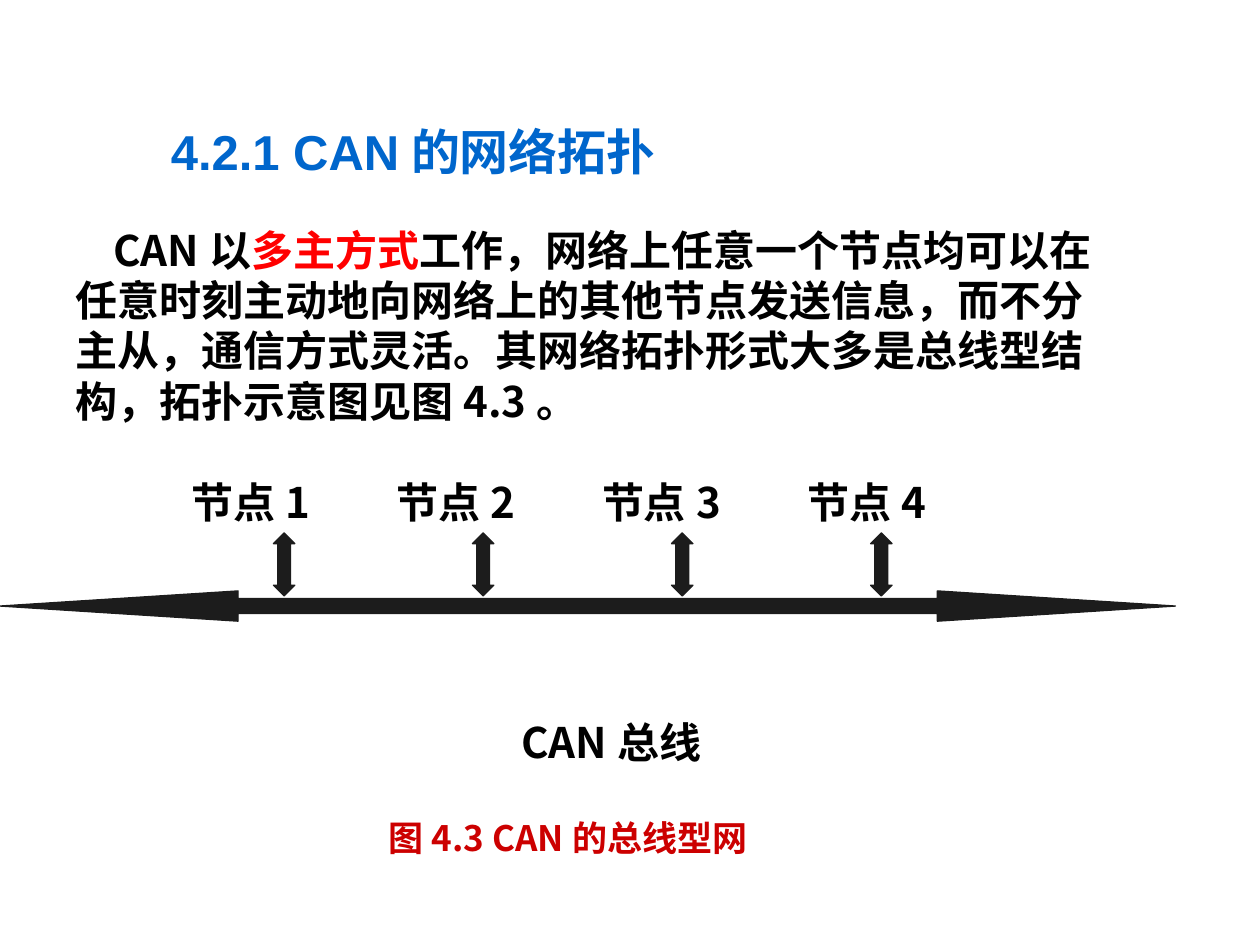
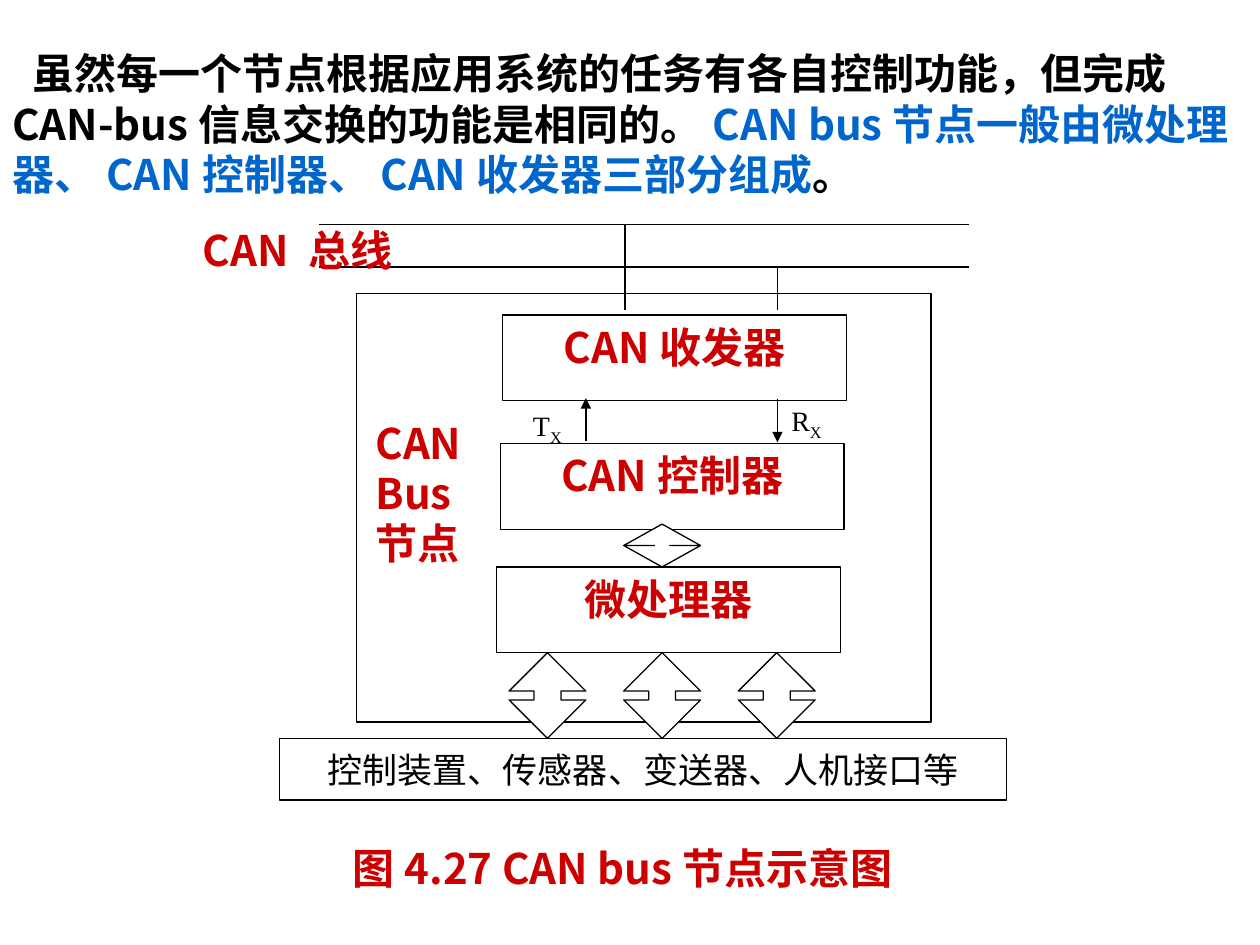
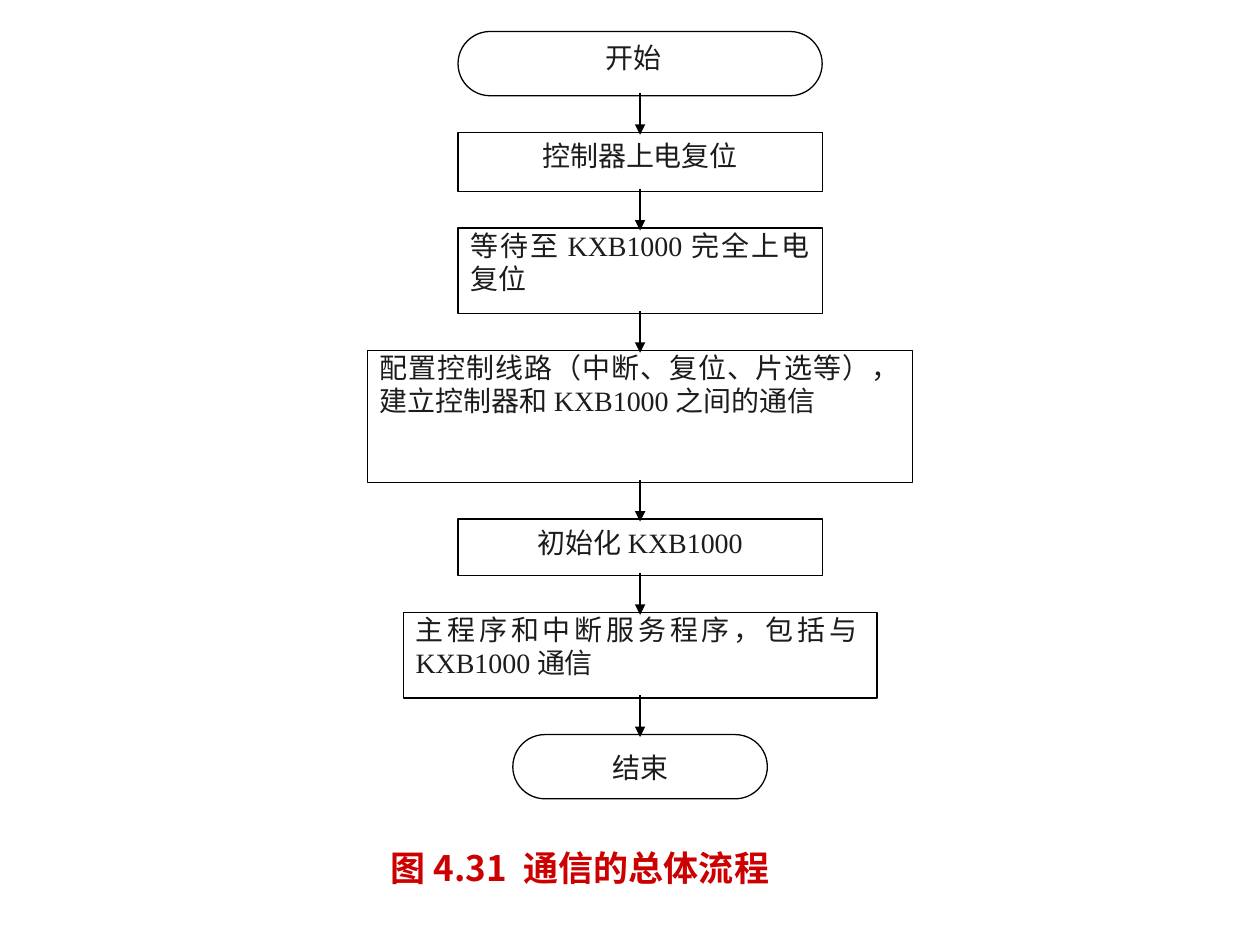
from dataclasses import dataclass
from itertools import pairwise

from lxml import etree
from pptx import Presentation
from pptx.dml.color import RGBColor
from pptx.enum.shapes import MSO_CONNECTOR, MSO_SHAPE
from pptx.enum.text import MSO_ANCHOR, PP_ALIGN
from pptx.oxml.ns import qn
from pptx.util import Inches, Pt

LEFT, CENTER, JUSTIFY = PP_ALIGN.LEFT, PP_ALIGN.CENTER, PP_ALIGN.JUSTIFY
TOP, MIDDLE = MSO_ANCHOR.TOP, MSO_ANCHOR.MIDDLE
RECTANGLE = MSO_SHAPE.RECTANGLE
PROCESS = MSO_SHAPE.FLOWCHART_PROCESS
TERMINAL = MSO_SHAPE.ROUNDED_RECTANGLE
VERTICAL_ARROW = MSO_SHAPE.UP_DOWN_ARROW
HORIZONTAL_ARROW = MSO_SHAPE.LEFT_RIGHT_ARROW
STRAIGHT = MSO_CONNECTOR.STRAIGHT
TITLE_ONLY, BLANK = 5, 6

PADDED = (0.1, 0.05, 0.1, 0.05)
SIDES_ONLY = (0.1, 0, 0.1, 0)
FLUSH = (0, 0, 0, 0)


@dataclass(frozen=True)
class Theme:
    black: RGBColor = RGBColor.from_string("000000")
    white: RGBColor = RGBColor.from_string("FFFFFF")
    charcoal: RGBColor = RGBColor.from_string("1C1C1C")
    blue: RGBColor = RGBColor.from_string("0066CC")
    red: RGBColor = RGBColor.from_string("FF0000")
    crimson: RGBColor = RGBColor.from_string("CC0000")
    heading_font: str = "Arial"
    body_font: str = "Noto Sans CJK SC"
    serif_font: str = "Times New Roman"
    title_size: int = 28
    body_size: int = 24
    caption_size: int = 20
    small_size: int = 16
    line_width: float = 0.75


THEME = Theme()


@dataclass(frozen=True)
class TextStyle:
    font: str = THEME.body_font
    size: int = THEME.body_size
    color: RGBColor = THEME.black
    bold: bool = True


BODY = TextStyle()
TITLE = TextStyle(THEME.heading_font, THEME.title_size, THEME.blue)
LABEL = TextStyle(color=THEME.crimson)
CAPTION = TextStyle(size=THEME.caption_size, color=THEME.crimson)
DEVICES = TextStyle(size=THEME.caption_size, bold=False)
SIGNAL = TextStyle(THEME.serif_font, THEME.small_size, bold=False)
STEP = TextStyle(THEME.serif_font, THEME.small_size, THEME.charcoal, False)


class SlideBuilder:
    def __init__(self, deck):
        self.deck = deck
        self.slide = None

    def new_slide(self, layout=BLANK):
        self.slide = self.deck.slides.add_slide(self.deck.slide_layouts[layout])

    def format_span(self, span, style, color=None):
        span.font.name = style.font
        span.font.size = Pt(style.size)
        span.font.bold = style.bold
        span.font.color.rgb = color or style.color
        east_asian = etree.SubElement(span._r.get_or_add_rPr(), qn("a:ea"))
        east_asian.set("typeface", THEME.body_font)

    def fill_text(self, frame, text, style, align=LEFT, insets=PADDED, anchor=TOP):
        frame.word_wrap = True
        frame.vertical_anchor = anchor
        (frame.margin_left, frame.margin_top,
         frame.margin_right, frame.margin_bottom) = map(Inches, insets)
        frame.text = text
        for para in frame.paragraphs:
            para.alignment = align
            for span in para.runs:
                self.format_span(span, style)

    def title(self, text, left, top, width, height):
        box = self.slide.shapes.title
        box.left, box.top = Inches(left), Inches(top)
        box.width, box.height = Inches(width), Inches(height)
        self.fill_text(box.text_frame, text, TITLE, CENTER, anchor=MIDDLE)

    def text(self, text, left, top, width, height, style=BODY, align=LEFT, insets=PADDED):
        box = self.slide.shapes.add_textbox(
            Inches(left), Inches(top), Inches(width), Inches(height))
        self.fill_text(box.text_frame, text, style, align, insets)
        return box.text_frame.paragraphs[0]

    def passage(self, parts, left, top, width, height, indent):
        """Add a paragraph of (text, colour) parts with an indented first line."""
        para = self.text("", left, top, width, height)
        para._p.get_or_add_pPr().set("indent", str(Inches(indent)))
        for words, color in parts:
            span = para.add_run()
            span.text = words
            self.format_span(span, BODY, color)

    def signal(self, letter, left, top):
        """Add a signal name with a subscript X."""
        para = self.text(letter, left, top, 0.61, 0.35, SIGNAL, insets=FLUSH)
        subscript = para.add_run()
        subscript.text = "X"
        self.format_span(subscript, SIGNAL)
        subscript.font._element.set("baseline", "-25000")

    def shape(self, kind, left, top, width, height, fill=THEME.white,
              line=THEME.black, adjustments=()):
        shape = self.slide.shapes.add_shape(
            kind, Inches(left), Inches(top), Inches(width), Inches(height))
        shape.shadow.inherit = False
        if fill is None:
            shape.fill.background()
        else:
            shape.fill.solid()
            shape.fill.fore_color.rgb = fill
        shape.line.color.rgb = line
        shape.line.width = Pt(THEME.line_width)
        for index, value in enumerate(adjustments):
            shape.adjustments[index] = value
        return shape

    def line(self, x1, y1, x2, y2, arrow=False):
        connector = self.slide.shapes.add_connector(
            STRAIGHT, Inches(x1), Inches(y1), Inches(x2), Inches(y2))
        connector.line.color.rgb = THEME.black
        connector.line.width = Pt(THEME.line_width)
        if arrow:
            head = etree.SubElement(connector.line._get_or_add_ln(), qn("a:tailEnd"))
            head.set("type", "triangle")
        etree.SubElement(connector._element.spPr, qn("a:effectLst"))


def build_topology(builder):
    builder.new_slide(TITLE_ONLY)
    builder.title("4.2.1 CAN的网络拓扑", 0.04, 0.84, 6.48, 0.71)
    builder.passage([
        ("CAN以", THEME.black),
        ("多主方式", THEME.red),
        ("工作，网络上任意一个节点均可以在任意时刻主动地向网络上的其他节点发送信息，"
         "而不分主从，通信方式灵活。其网络拓扑形式大多是总线型结构，"
         "拓扑示意图见图4.3。", THEME.black),
    ], 0.5, 1.73, 8.42, 1.7, indent=0.3)

    builder.shape(HORIZONTAL_ARROW, 0, 4.69, 9.33, 0.24,
                  THEME.charcoal, THEME.charcoal, (0.5, 7.87))
    for index in range(4):
        builder.text(f"节点{index + 1}", 1.41 + 1.63 * index, 3.73, 1.16, 0.97, align=CENTER)
        builder.shape(VERTICAL_ARROW, 2.17 + 1.58 * index, 4.23, 0.17, 0.5,
                      THEME.charcoal, THEME.charcoal, (0.5, 0.6))
    builder.text("CAN总线", 4.04, 5.64, 1.63, 0.59)
    builder.text("图4.3 CAN的总线型网", 2.18, 6.48, 4.66, 0.5, CAPTION, CENTER, FLUSH)


def build_node(builder):
    builder.new_slide()
    builder.passage([
        ("虽然每一个节点根据应用系统的任务有各自控制功能，"
         "但完成CAN-bus信息交换的功能是相同的。", THEME.black),
        ("CAN bus节点一般由微处理器、CAN控制器、CAN收发器三部分组成", THEME.blue),
        ("。", THEME.black),
    ], 0, 0.33, 10, 1.7, indent=0.16)

    builder.shape(RECTANGLE, 2.83, 2.33, 4.56, 3.4)
    for name, left, top in (("CAN收发器", 3.99, 2.5),
                            ("CAN控制器", 3.97, 3.52),
                            ("微处理器", 3.94, 4.5)):
        unit = builder.shape(RECTANGLE, left, top, 2.73, 0.68)
        builder.fill_text(unit.text_frame, name, LABEL, CENTER)

    for index in range(3):
        builder.shape(VERTICAL_ARROW, 4.04 + 0.91 * index, 5.18, 0.61, 0.68,
                      adjustments=(0.5, 0.35))
    builder.shape(VERTICAL_ARROW, 4.95, 4.16, 0.61, 0.34, adjustments=(0.5, 0.2))

    for bus_y, tap_x in ((1.78, 4.96), (2.12, 6.17)):
        builder.line(2.53, bus_y, 7.69, bus_y)
        builder.line(tap_x, bus_y, tap_x, 2.46)
    builder.line(6.17, 3.17, 6.17, 3.51, arrow=True)
    builder.line(4.65, 3.5, 4.65, 3.16, arrow=True)
    builder.signal("R", 6.28, 3.2)
    builder.signal("T", 4.23, 3.24)

    builder.text("CAN 总线", 1.61, 1.78, 3.04, 0.51, LABEL, insets=FLUSH)
    builder.text("CAN\nBus\n节点", 2.98, 3.31, 0.91, 1.54, LABEL, insets=FLUSH)
    devices = builder.shape(RECTANGLE, 2.22, 5.86, 5.77, 0.49, fill=None)
    builder.fill_text(devices.text_frame, "控制装置、传感器、变送器、人机接口等",
                      DEVICES, CENTER, (0, 0.08, 0, 0))
    builder.text("图4.27 CAN bus节点示意图", 2.7, 6.64, 4.58, 0.6, LABEL)


def build_flow(builder):
    builder.new_slide()
    center_x, top, gap, overlap = 5.08, 0.25, 0.29, 0.02
    steps = (
        (TERMINAL, "开始", 2.89, 0.51, CENTER, (0, 0, 0.1, 0.05)),
        (PROCESS, "控制器上电复位", 2.89, 0.47, CENTER, PADDED),
        (PROCESS, "等待至KXB1000完全上电复位", 2.89, 0.68, JUSTIFY, SIDES_ONLY),
        (PROCESS, "配置控制线路（中断、复位、片选等），建立控制器和KXB1000之间的通信",
         4.33, 1.05, JUSTIFY, SIDES_ONLY),
        (PROCESS, "初始化KXB1000", 2.89, 0.45, CENTER, PADDED),
        (PROCESS, "主程序和中断服务程序，包括与KXB1000通信",
         3.76, 0.68, JUSTIFY, SIDES_ONLY),
        (TERMINAL, "结束", 2.02, 0.51, CENTER, PADDED),
    )
    edges = []
    for kind, words, width, height, align, insets in steps:
        adjustments = (0.5,) if kind == TERMINAL else ()
        step = builder.shape(kind, center_x - width / 2, top, width, height,
                             adjustments=adjustments)
        builder.fill_text(step.text_frame, words, STEP, align, insets)
        edges.append((top, top + height))
        top += height + gap
    for (_, bottom), (next_top, _) in pairwise(edges):
        builder.line(center_x, bottom - overlap, center_x, next_top + overlap, arrow=True)
    builder.text("图4.31 通信的总体流程", 3, 6.67, 4.08, 0.44, CAPTION)


def main():
    deck = Presentation()
    deck.slide_width, deck.slide_height = Inches(10), Inches(7.5)
    builder = SlideBuilder(deck)
    build_topology(builder)
    build_node(builder)
    build_flow(builder)
    deck.save("out.pptx")


if __name__ == "__main__":
    main()
